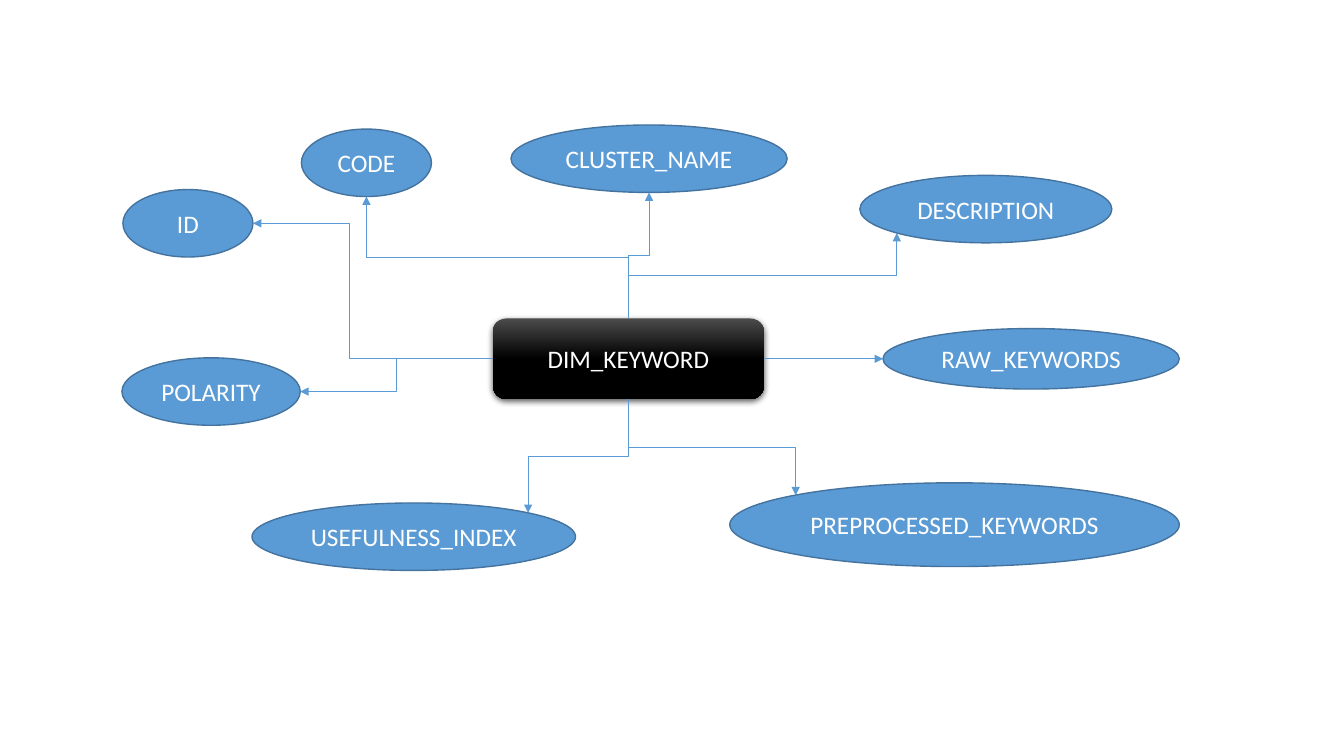
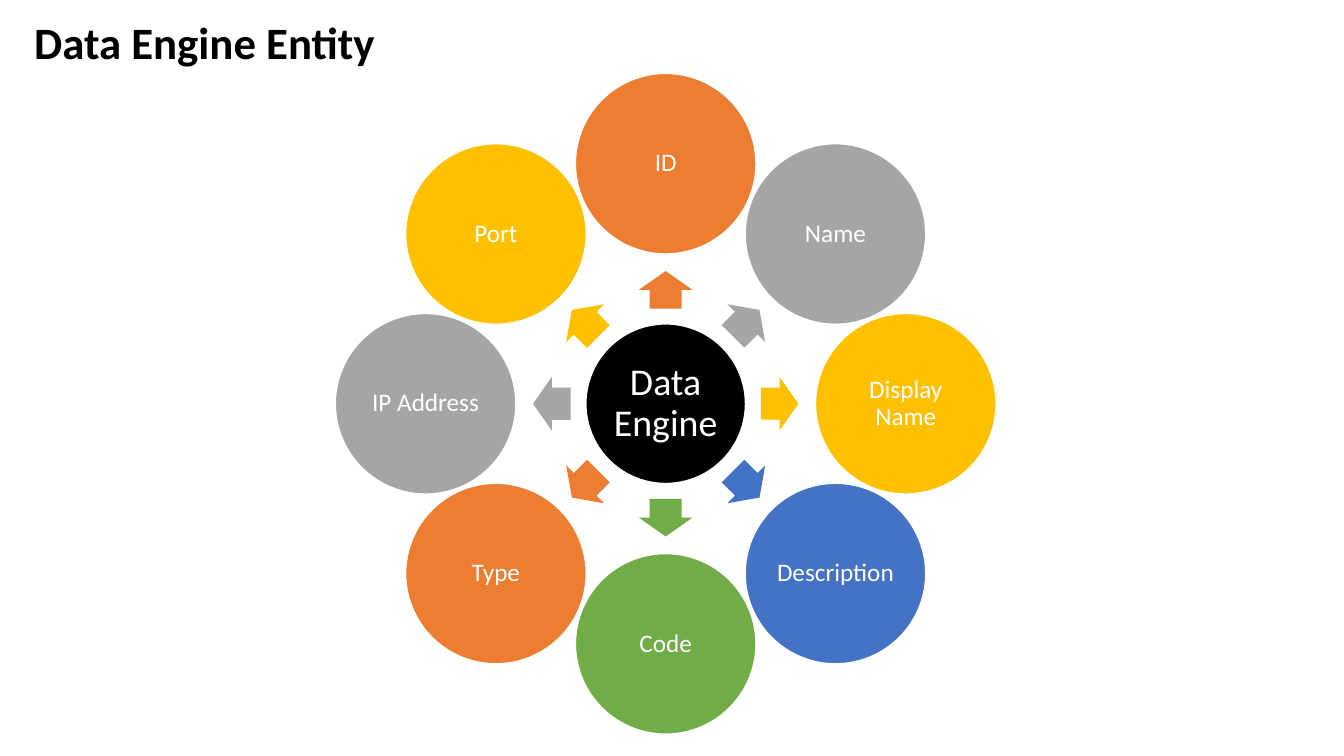
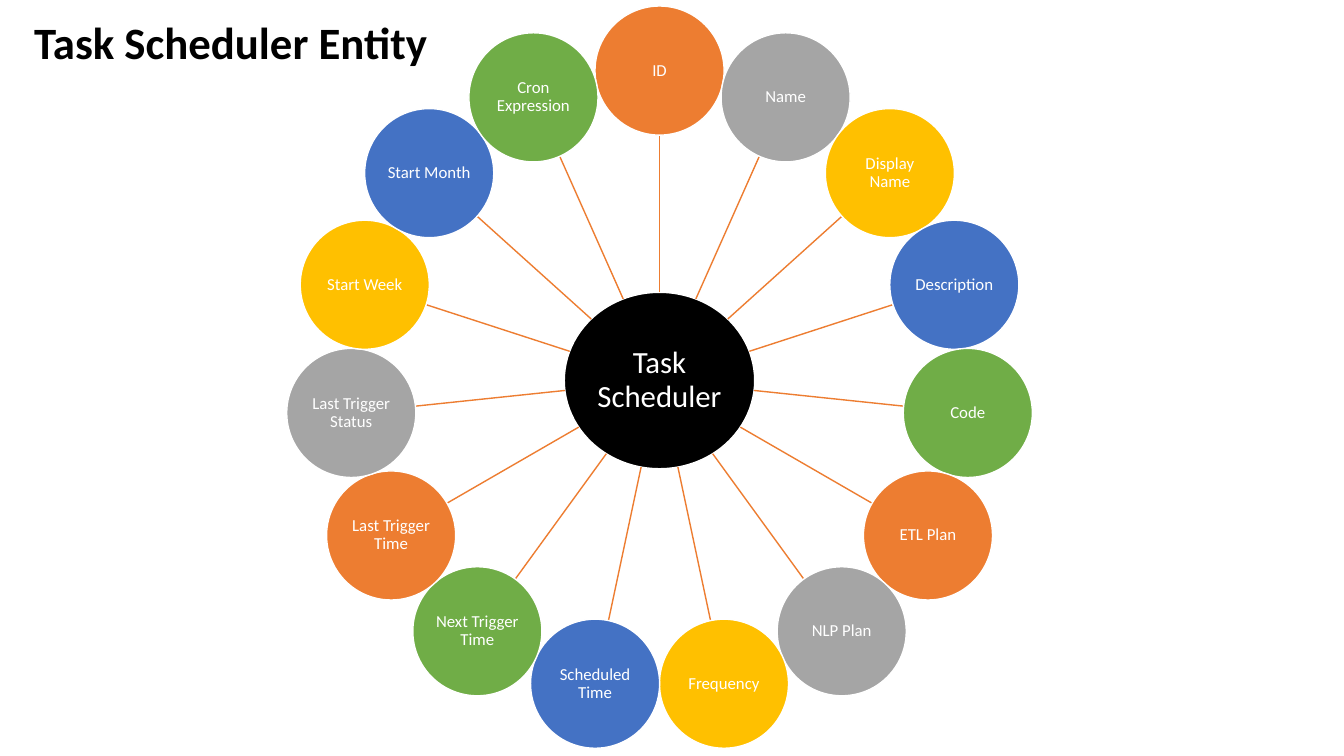
from dataclasses import dataclass
from math import cos, hypot, radians, sin

from lxml.etree import SubElement
from pptx import Presentation
from pptx.dml.color import RGBColor as Rgb
from pptx.enum.shapes import MSO_CONNECTOR as Link, MSO_SHAPE as Preset
from pptx.enum.text import MSO_ANCHOR as Anchor, MSO_AUTO_SIZE as Fit, PP_ALIGN as Align
from pptx.oxml.ns import qn
from pptx.util import Pt


@dataclass(frozen=True)
class Theme:
    font: str = "Calibri"
    white: Rgb = Rgb(0xFF, 0xFF, 0xFF)
    black: Rgb = Rgb(0, 0, 0)
    sheen: Rgb = Rgb(0x4B, 0x4B, 0x4B)
    field: Rgb = Rgb(0x5B, 0x9B, 0xD5)
    field_edge: Rgb = Rgb(0x43, 0x73, 0x9E)
    accents: tuple = (
        Rgb(0xED, 0x7D, 0x31),
        Rgb(0xA5, 0xA5, 0xA5),
        Rgb(0xFF, 0xC0, 0x00),
        Rgb(0x44, 0x72, 0xC4),
        Rgb(0x70, 0xAD, 0x47),
    )
    title_size: int = 32
    engine_size: int = 27
    scheduler_size: int = 22
    label_size: int = 18
    small_size: int = 12

    def accent(self, index):
        return self.accents[index % len(self.accents)]


@dataclass(frozen=True)
class Box:
    left: float
    top: float
    width: float
    height: float

    @classmethod
    def around(cls, center, width, height):
        return cls(center[0] - width / 2, center[1] - height / 2, width, height)

    def points(self):
        return [Pt(n) for n in (self.left, self.top, self.width, self.height)]

    def edge(self, angle):
        return polar(
            (self.left + self.width / 2, self.top + self.height / 2),
            angle, self.width / 2, self.height / 2,
        )


def polar(center, angle, across, down=None):
    turn = radians(angle)
    down = across if down is None else down
    return center[0] + across * cos(turn), center[1] + down * sin(turn)


def assign(target, values):
    for name, value in values.items():
        setattr(target, name, value)


class Deck:
    def __init__(self, theme):
        self.theme = theme
        self.show = Presentation()
        assign(self.show, {"slide_width": Pt(960), "slide_height": Pt(540)})
        self.slide = None

    def new_slide(self):
        self.slide = self.show.slides.add_slide(self.show.slide_layouts[6])

    def put_text(self, frame, text, size, color, align=Align.CENTER, bold=False, spacing=None):
        paragraph = frame.paragraphs[0]
        assign(paragraph, {"alignment": align, "line_spacing": spacing})
        run = paragraph.add_run()
        run.text = text
        assign(run.font, {"name": self.theme.font, "size": Pt(size), "bold": bold})
        run.font.color.rgb = color

    def title(self, text, width):
        frame = self.slide.shapes.add_textbox(*Box(17.3, 7.2, width, 46).points()).text_frame
        assign(frame, {"word_wrap": False, "auto_size": Fit.SHAPE_TO_FIT_TEXT})
        self.put_text(frame, text, self.theme.title_size, self.theme.black, Align.LEFT, True)

    def shape(self, preset, box, fill, edge=None):
        shape = self.slide.shapes.add_shape(preset, *box.points())
        shape.shadow.inherit = False
        shape.fill.solid()
        shape.fill.fore_color.rgb = fill
        if edge is None:
            shape.line.fill.background()
        else:
            shape.line.color.rgb = edge
            shape.line.width = Pt(1)
        return shape

    def label(self, shape, text, size, inset=None, spacing=None):
        frame = shape.text_frame
        assign(frame, {"word_wrap": True, "vertical_anchor": Anchor.MIDDLE})
        if inset is not None:
            sides = ("left", "top", "right", "bottom")
            assign(frame, {f"margin_{side}": Pt(inset) for side in sides})
        self.put_text(frame, text, size, self.theme.white, spacing=spacing)

    def disc(self, box, text, fill, size, inset):
        disc = self.shape(Preset.OVAL, box, fill, self.theme.white)
        self.label(disc, text, size, inset, 0.9)

    def attribute(self, box, text):
        oval = self.shape(Preset.OVAL, box, self.theme.field, self.theme.field_edge)
        self.label(oval, text, self.theme.label_size)

    def entity(self, box, text):
        entity = self.shape(Preset.ROUNDED_RECTANGLE, box, self.theme.black)
        entity.fill.gradient()
        entity.fill.gradient_angle = 270
        colors = (self.theme.sheen, self.theme.black)
        for stop, position, color in zip(entity.fill.gradient_stops, (0, 0.5), colors):
            stop.position = position
            stop.color.rgb = color
        effects = entity._element.spPr.find(qn("a:effectLst"))
        shadow = SubElement(effects, qn("a:outerShdw"), blurRad=str(Pt(4.5)),
                            dist=str(Pt(1.5)), dir="5400000", rotWithShape="0")
        tint = SubElement(shadow, qn("a:srgbClr"), val=str(self.theme.black))
        SubElement(tint, qn("a:alpha"), val="63000")
        self.label(entity, text, self.theme.label_size)

    def line(self, kind, start, end, color, width):
        line = self.slide.shapes.add_connector(kind, *[Pt(n) for n in (*start, *end)])
        line.line.color.rgb = color
        line.line.width = Pt(width)
        SubElement(line._element.spPr, qn("a:effectLst"))
        return line

    def elbow(self, start, end, upright, bend=None):
        dx, dy = end[0] - start[0], end[1] - start[1]
        turn = 0
        if upright:
            middle = (start[0] + dx / 2, start[1] + dy / 2)
            turn, sign = (270, -1) if dx * dy > 0 else (90, 1)
            half = (sign * dy / 2, -sign * dx / 2)
            start = (middle[0] - half[0], middle[1] - half[1])
            end = (middle[0] + half[0], middle[1] + half[1])
        style = self.line(Link.ELBOW, start, end, self.theme.field, 0.5)._element.spPr
        SubElement(style.find(qn("a:ln")), qn("a:tailEnd"), type="triangle")
        if turn:
            style.find(qn("a:xfrm")).set("rot", str(turn * 60000))
        if bend is not None:
            guides = style.find(qn("a:prstGeom")).find(qn("a:avLst"))
            SubElement(guides, qn("a:gd"), name="adj1", fmla=f"val {round(bend * 100000)}")

    def arrow(self, center, angle, color):
        arrow = self.shape(Preset.RIGHT_ARROW, Box.around(center, 26.8, 38.2), color)
        arrow.adjustments[0], arrow.adjustments[1] = 0.6, 0.5
        arrow.rotation = angle % 360


def keyword_slide(deck):
    deck.new_slide()
    entity = Box(352, 227.5, 193.7, 57.6)
    right, bottom, left, top = 0, 90, 180, 270
    attributes = (
        ("CODE", Box(215.3, 92.2, 92.9, 48.2), top, 90, None),
        ("CLUSTER_NAME", Box(365, 89.3, 197.3, 48.2), top, 90, None),
        ("DESCRIPTION", Box(614.2, 125.3, 180, 48.2), top, 135, None),
        ("ID", Box(87.8, 135.4, 92.9, 48.2), left, 0, 0.6),
        ("POLARITY", Box(87.1, 255.6, 127.4, 48.2), left, 0, None),
        ("RAW_KEYWORDS", Box(630.7, 234.7, 211.7, 43.2), right, 180, None),
        ("PREPROCESSED_KEYWORDS", Box(521.3, 344.9, 321.1, 59.8), bottom, 225, None),
        ("USEFULNESS_INDEX", Box(180, 359.3, 231.1, 48.2), bottom, 315, None),
    )
    deck.entity(entity, "DIM_KEYWORD")
    for name, box, _, _, _ in attributes:
        deck.attribute(box, name)
    for _, box, side, site, bend in attributes:
        deck.elbow(entity.edge(side), box.edge(site), side in (top, bottom), bend)


def engine_slide(deck):
    deck.new_slide()
    theme = deck.theme
    center = (475.5, 288.4)
    fields = ("ID", "Name", "Display Name", "Description", "Code", "Type", "IP Address", "Port")
    deck.disc(Box.around(center, 114, 114), "Data Engine", theme.black, theme.engine_size, 2.7)
    for index, field in enumerate(fields):
        angle = index * 360 / len(fields) - 90
        color = theme.accent(index)
        deck.arrow(polar(center, angle, 81.4), angle, color)
        deck.disc(Box.around(polar(center, angle, 171.5), 129, 129),
                  field, color, theme.label_size, 1.8)
    deck.title("Data Engine Entity", 260)


def scheduler_slide(deck):
    deck.new_slide()
    theme = deck.theme
    center = (471.1, 271.8)
    hub_width, hub_height, ring, node = 136, 126, 221.4, 92.2
    fields = (
        "ID", "Name", "Display Name", "Description", "Code",
        "ETL Plan", "NLP Plan", "Frequency", "Scheduled Time", "Next Trigger Time",
        "Last Trigger Time", "Last Trigger Status", "Start Week", "Start Month",
        "Cron Expression",
    )
    deck.disc(Box.around(center, hub_width, hub_height), "Task Scheduler",
              theme.black, theme.scheduler_size, 1.4)
    for index, field in enumerate(fields):
        angle = index * 360 / len(fields) - 90
        turn = radians(angle)
        rim = 1 / hypot(2 * cos(turn) / hub_width, 2 * sin(turn) / hub_height)
        deck.line(Link.STRAIGHT, polar(center, angle, rim),
                  polar(center, angle, ring - node / 2), theme.accent(0), 1)
        deck.disc(Box.around(polar(center, angle, ring), node, node),
                  field, theme.accent(index), theme.small_size, 0.7)
    deck.title("Task Scheduler Entity", 298)


def main():
    deck = Deck(Theme())
    for build in (keyword_slide, engine_slide, scheduler_slide):
        build(deck)
    deck.show.save("out.pptx")


if __name__ == "__main__":
    main()
